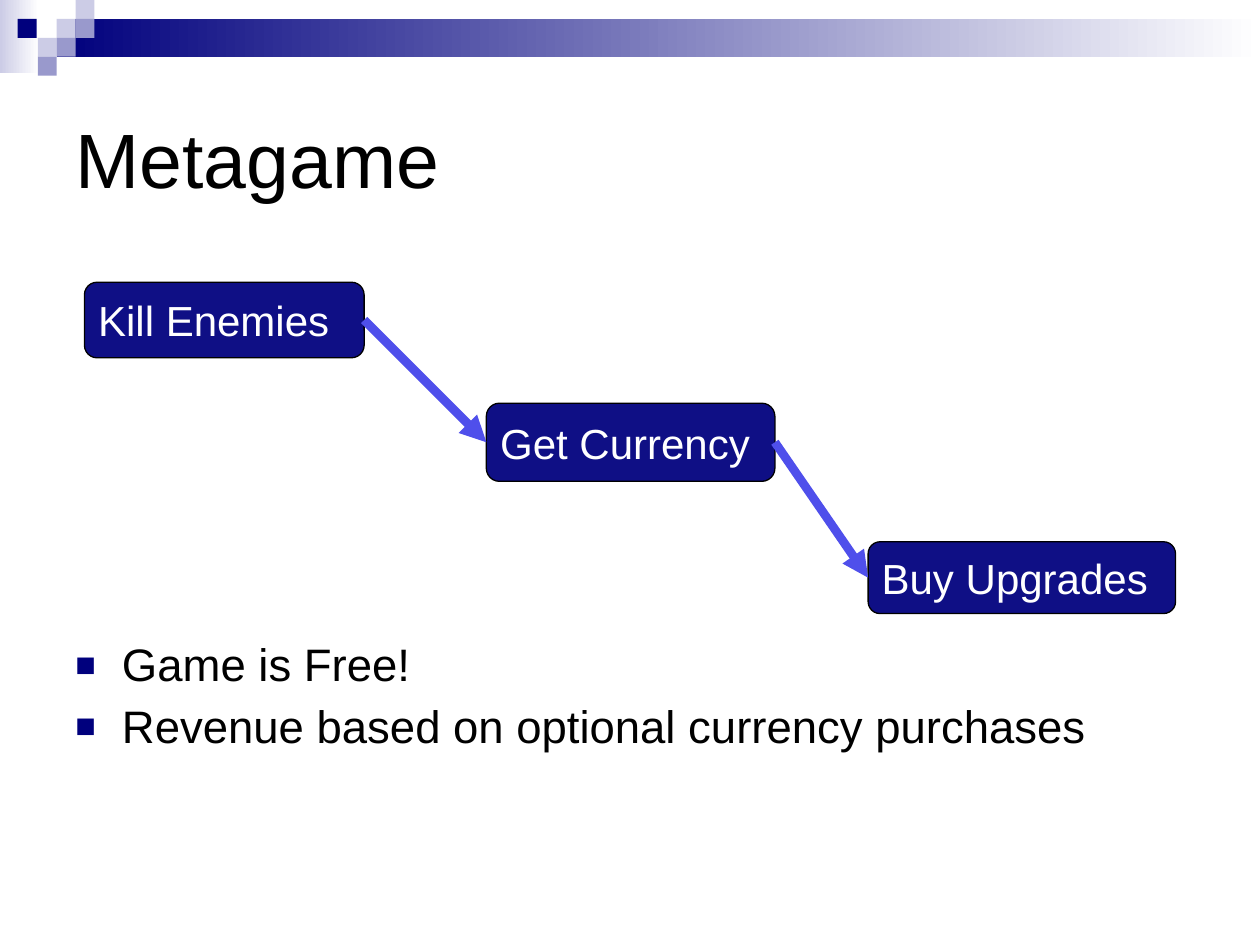
import pptx
import pptx.dml.color
import pptx.enum.shapes
import pptx.enum.text
import pptx.oxml
import pptx.oxml.ns
import pptx.util
from pptx.util import Inches

SHAPE = pptx.enum.shapes.MSO_SHAPE
MIDDLE = pptx.enum.text.MSO_ANCHOR.MIDDLE
NAVY, LILAC, MAUVE = "00007D", "CCCCE6", "9999CC"


def color(code):
    return pptx.dml.color.RGBColor.from_string(code)


def node(tag, **attrs):
    """Make an empty DrawingML element."""
    item = pptx.oxml.parse_xml(f"<a:{tag} {pptx.oxml.ns.nsdecls('a')}/>")
    for key, value in attrs.items():
        item.set(key, value)
    return item


class Deck:
    """Holds the type style and the current slide."""

    font = "Arial"
    ink = "000000"

    def __init__(self, slide):
        self.shapes = slide.shapes

    def style(self, par, size, code):
        for run in par.runs:
            run.font.name = self.font
            run.font.size = pptx.util.Pt(size)
            run.font.color.rgb = color(code)

    def rect(self, x, y, w, h, code, kind=SHAPE.RECTANGLE):
        shape = self.shapes.add_shape(
            kind, Inches(x), Inches(y), Inches(w), Inches(h))
        shape.shadow.inherit = False
        shape.fill.solid()
        shape.fill.fore_color.rgb = color(code)
        shape.line.fill.background()
        return shape

    def fade(self, x, y, w, h, code):
        """Add a bar that fades to white on the right."""
        fill = self.rect(x, y, w, h, code).fill
        fill.gradient()
        fill.gradient_angle = 0
        for stop, tint in zip(fill.gradient_stops, (code, "FFFFFF")):
            stop.color.rgb = color(tint)

    def step(self, text, x, y, w, h):
        shape = self.rect(x, y, w, h, "0F0F85", SHAPE.ROUNDED_RECTANGLE)
        shape.line.color.rgb = color(self.ink)
        shape.line.width = pptx.util.Pt(0.75)
        frame = shape.text_frame
        frame.text = text
        frame.margin_left = Inches(0.08)
        frame.vertical_anchor = MIDDLE
        par = frame.paragraphs[0]
        par.alignment = pptx.enum.text.PP_ALIGN.LEFT
        self.style(par, 24, "FFFFFF")
        return shape

    def arrow(self, start, end):
        """Join the right side of one step to the left side of the next."""
        line = self.shapes.add_connector(
            pptx.enum.shapes.MSO_CONNECTOR.STRAIGHT, 0, 0, 0, 0)
        line.begin_connect(start, 3)
        line.end_connect(end, 1)
        line.line.color.rgb = color("4F4FEB")
        line.line.width = pptx.util.Pt(5)
        line.line._get_or_add_ln().append(node("tailEnd", type="triangle"))
        line._element.spPr.append(node("effectLst"))

    def text(self, text, x, y, w, h, size):
        box = self.shapes.add_textbox(
            Inches(x), Inches(y), Inches(w), Inches(h))
        frame = box.text_frame
        frame.word_wrap = True
        frame.text = text
        for par in frame.paragraphs:
            self.style(par, size, self.ink)
        return frame

    def bullets(self, items, x, y, w, h, size):
        frame = self.text("\n".join(items), x, y, w, h, size)
        for par in frame.paragraphs:
            par.line_spacing = 0.9
            par.space_before = pptx.util.Pt(7)
            props = par._p.get_or_add_pPr()
            props.set("marL", str(Inches(0.37)))
            props.set("indent", str(-Inches(0.37)))
            tint = node("buClr")
            tint.append(node("srgbClr", val=NAVY))
            props.extend([tint, node("buSzPct", val="75000"),
                          node("buFont", typeface=self.font),
                          node("buChar", char="■")])


def main():
    prs = pptx.Presentation()
    prs.slide_width, prs.slide_height = Inches(10), Inches(7.5)
    deck = Deck(prs.slides.add_slide(prs.slide_layouts[6]))

    deck.fade(0, 0, 0.31, 0.58, LILAC)
    deck.fade(0.45, 0.15, 9.55, 0.3, NAVY)
    tiles = [(0.45, 0.15, LILAC), (0.6, 0, LILAC), (0.6, 0.15, MAUVE),
             (0.3, 0.3, LILAC), (0.14, 0.15, NAVY), (0.45, 0.3, MAUVE),
             (0.3, 0.45, MAUVE)]
    for x, y, code in tiles:
        deck.rect(x, y, 0.15, 0.15, code)

    title = deck.text("Metagame", 0.5, 0.5, 9, 1.5, 44)
    title.vertical_anchor = MIDDLE

    steps = [deck.step("Kill Enemies", 0.67, 2.24, 2.22, 0.6),
             deck.step("Get Currency", 3.86, 3.2, 2.29, 0.62),
             deck.step("Buy Upgrades", 6.89, 4.3, 2.44, 0.57)]
    for start, end in zip(steps, steps[1:]):
        deck.arrow(start, end)

    deck.bullets(["Game is Free!",
                  "Revenue based on optional currency purchases"],
                 0.5, 5.05, 9, 4.25, 26)
    prs.save("out.pptx")


if __name__ == "__main__":
    main()
